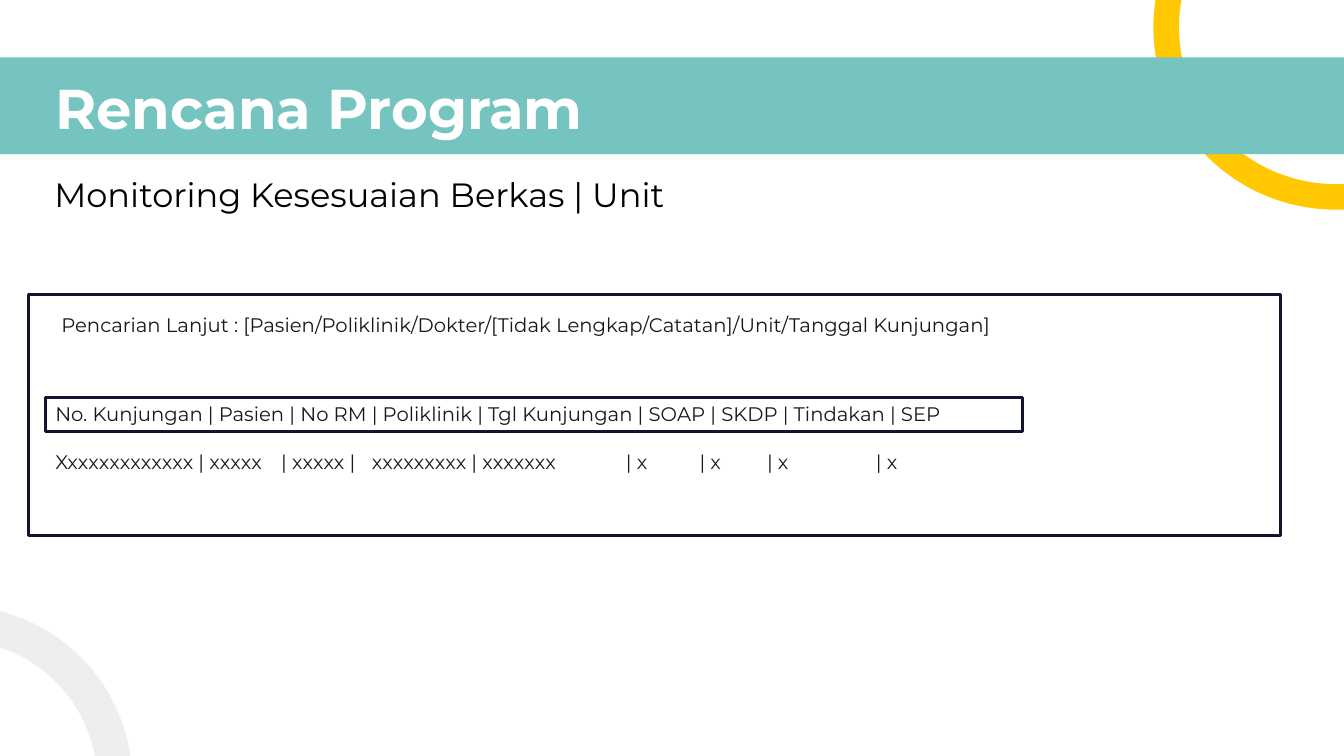
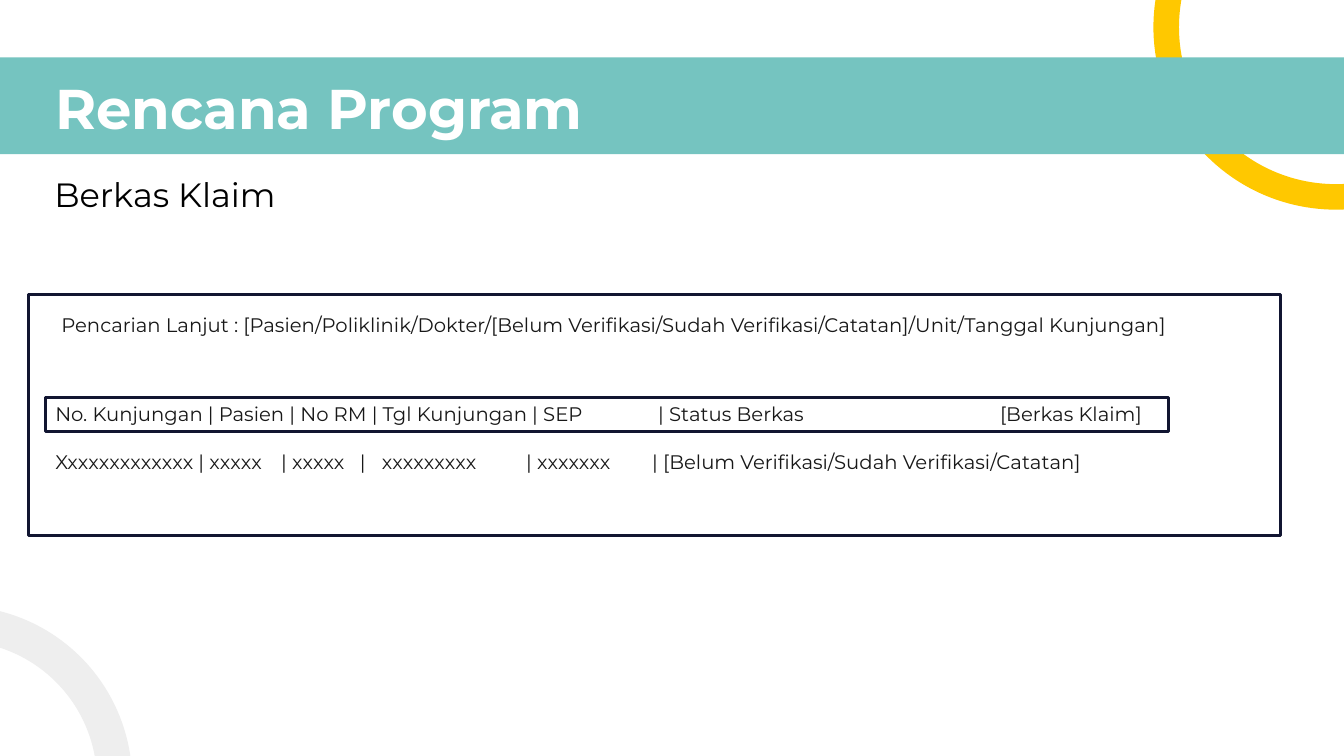
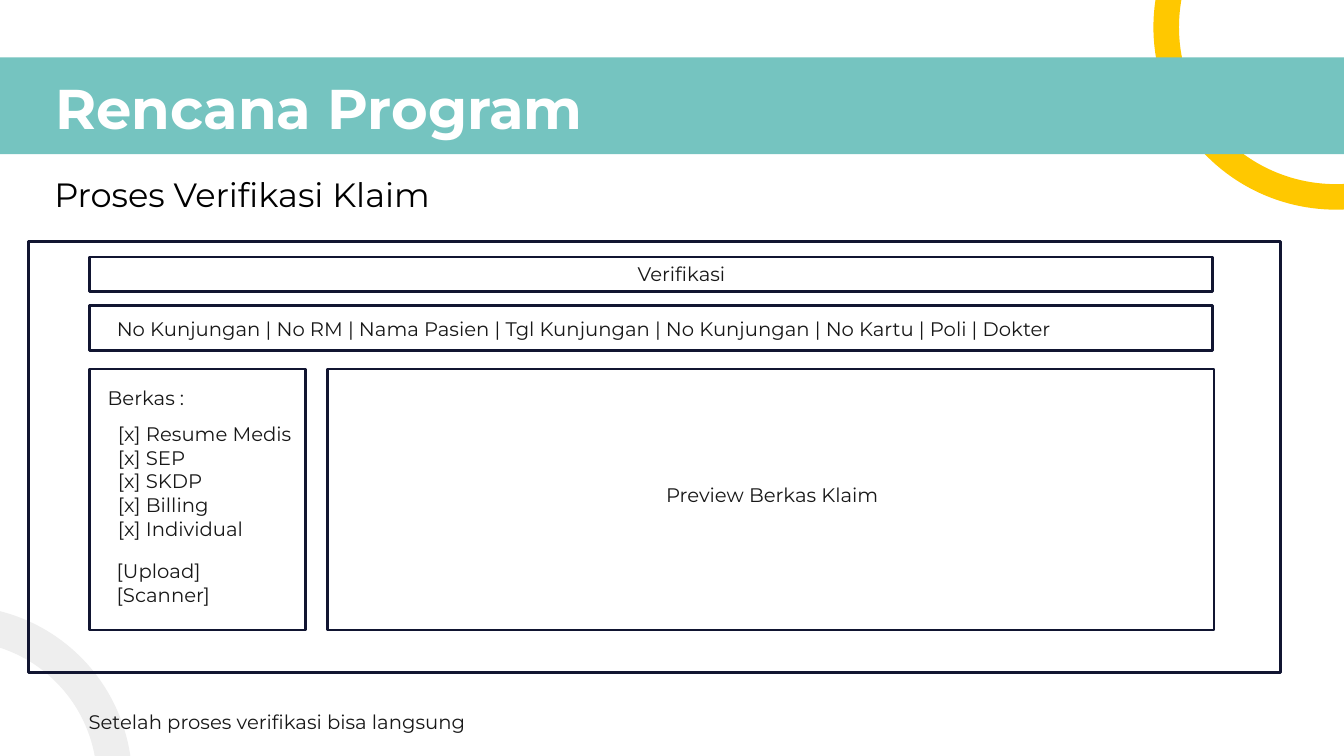
"""Build three slides that sketch the screens of a claim file program."""
from lxml.etree import SubElement
from pptx import Presentation
from pptx.dml.color import RGBColor
from pptx.enum.shapes import MSO_SHAPE as SHAPE
from pptx.enum.text import MSO_ANCHOR as ANCHOR, MSO_AUTO_SIZE as AUTO, PP_ALIGN as ALIGN
from pptx.oxml.ns import qn
from pptx.util import Inches, Pt

WHITE = RGBColor(0xFF, 0xFF, 0xFF)
BLACK = RGBColor(0x00, 0x00, 0x00)
INK = RGBColor(0x18, 0x18, 0x18)
NAVY = RGBColor(0x11, 0x15, 0x31)
TEAL = RGBColor(0x75, 0xC4, 0xC0)
YELLOW = RGBColor(0xFF, 0xC8, 0x00)
GREY = RGBColor(0xEE, 0xEE, 0xEE)

TITLE = {"name": "Montserrat", "size": Pt(40), "bold": True}
SUBTITLE = {"name": "Montserrat", "size": Pt(24)}
BODY = {"name": "Montserrat", "size": Pt(14)}


def add_box(s, at, fill=None, line=None, kind=SHAPE.RECTANGLE):
    sp = s.shapes.add_shape(kind, *map(Inches, at))
    sp.shadow.inherit = False
    if fill is None:
        sp.fill.background()
    else:
        sp.fill.solid()
        sp.fill.fore_color.rgb = fill
    if line is None:
        sp.line.fill.background()
    else:
        sp.line.color.rgb = line
        sp.line.width = Pt(2)
    return sp


def add_text(s, at, lines, align=ALIGN.LEFT, fmt=BODY, color=INK, tabs=(), gap=0):
    tf = s.shapes.add_textbox(*map(Inches, at)).text_frame
    tf.word_wrap = True
    tf.auto_size = AUTO.SHAPE_TO_FIT_TEXT
    for i, line in enumerate(lines):
        p = tf.paragraphs[0] if i == 0 else tf.add_paragraph()
        p.alignment = align
        if i and gap:
            p.space_before = Pt(gap)
        if tabs and tabs[i]:
            tab_list = SubElement(p._p.get_or_add_pPr(), qn("a:tabLst"))
            for pos in tabs[i]:
                SubElement(tab_list, qn("a:tab"), pos=str(Inches(pos)), algn="l")
        r = p.add_run()
        r.text = line
        r.font.color.rgb = color
        for key, value in fmt.items():
            setattr(r.font, key, value)


prs = Presentation()
prs.slide_width, prs.slide_height = Inches(13.33), Inches(7.5)
layout = prs.slide_layouts[5]

subtitles = ["Monitoring Kesesuaian Berkas | Unit", "Berkas Klaim", "Proses Verifikasi Klaim"]
slides = [prs.slides.add_slide(layout) for _ in subtitles]

yellow_ring = add_box(slides[0], (11.44, -1.54, 3.62, 3.62), YELLOW, kind=SHAPE.BLOCK_ARC)
band = add_box(slides[0], (-0.23, 0.57, 13.78, 0.96), TEAL)
grey_ring = add_box(slides[0], (-2.17, 6.01, 3.48, 3.48), GREY, kind=SHAPE.BLOCK_ARC)
for ring, angle, adjustments in [
    (yellow_ring, 180, (159.04, 7.23, 0.07)),
    (grey_ring, 74.3, (125.82, 166.85, 0.1)),
]:
    ring.rotation = angle
    for i, value in enumerate(adjustments):
        ring.adjustments[i] = value
for i, sp in enumerate((yellow_ring, band, grey_ring)):
    sp.element.nvSpPr.cNvPr.id = 20 + i
    layout.shapes.element.append(sp.element)

for s, subtitle in zip(slides, subtitles):
    title = s.shapes.title
    title.left, title.top, title.width, title.height = map(Inches, (0.45, 0.63, 11.28, 0.84))
    tf = title.text_frame
    tf.auto_size = AUTO.NONE
    tf.word_wrap = True
    tf.vertical_anchor = ANCHOR.TOP
    for side in ("left", "top", "right", "bottom"):
        setattr(tf, f"margin_{side}", Inches(0.1))
    p = tf.paragraphs[0]
    p.alignment = ALIGN.LEFT
    r = p.add_run()
    r.text = "Rencana Program"
    r.font.color.rgb = WHITE
    for key, value in TITLE.items():
        setattr(r.font, key, value)
    add_text(s, (0.44, 1.68, 11.71, 0.5), [subtitle], ALIGN.JUSTIFY, SUBTITLE, BLACK)

listings = [
    {
        "header_width": 9.69,
        "text_width": 10.86,
        "filters": "Tidak Lengkap/Catatan",
        "rows": [
            "No. Kunjungan | Pasien | No RM | Poliklinik | Tgl Kunjungan | SOAP | SKDP | Tindakan | SEP",
            "Xxxxxxxxxxxxx | xxxxx\t| xxxxx |\txxxxxxxxx | xxxxxxx\t| x\t| x\t| x\t| x",
        ],
        "tabs": [(), (2.24, 3.14, 5.66, 6.39, 7.06, 8.14)],
    },
    {
        "header_width": 11.14,
        "text_width": 11.87,
        "filters": "Belum Verifikasi/Sudah Verifikasi/Catatan",
        "rows": [
            "No. Kunjungan | Pasien | No RM | Tgl Kunjungan | SEP\t| Status Berkas\t[Berkas Klaim]",
            "Xxxxxxxxxxxxx | xxxxx\t| xxxxx\t|\txxxxxxxxx\t| xxxxxxx\t"
            "| [Belum Verifikasi/Sudah Verifikasi/Catatan]",
        ],
        "tabs": [(5.98, 9.37), (2.24, 3.02, 3.24, 4.67, 5.92)],
    },
]
for s, listing in zip(slides, listings):
    add_box(s, (0.28, 2.92, 12.42, 2.39), line=NAVY)
    add_box(s, (0.45, 3.94, listing["header_width"], 0.34), WHITE, NAVY)
    add_text(s, (0.45, 3.94, listing["text_width"], 0.81), listing["rows"],
             ALIGN.JUSTIFY, tabs=listing["tabs"], gap=17)
    search = f"Pencarian Lanjut : [Pasien/Poliklinik/Dokter/[{listing['filters']}]/Unit/Tanggal Kunjungan]"
    add_text(s, (0.51, 3.06, 11.8, 0.34), [search], ALIGN.JUSTIFY)

s = slides[2]
add_box(s, (0.28, 2.4, 12.42, 4.27), line=NAVY)
for panel in [
    (0.89, 2.55, 11.14, 0.34),
    (0.89, 3.03, 11.14, 0.45),
    (0.89, 3.66, 2.14, 2.59),
    (3.25, 3.66, 8.79, 2.59),
]:
    add_box(s, panel, WHITE, NAVY)

files = ["Resume Medis", "SEP", "SKDP", "Billing", "Individual"]
visit = "No Kunjungan | No RM | Nama Pasien | Tgl Kunjungan | No Kunjungan | No Kartu | Poli | Dokter"
for at, lines, align in [
    ((2.53, 2.55, 8.46, 0.34), ["Verifikasi"], ALIGN.CENTER),
    ((1.06, 3.09, 10.82, 0.34), [visit], ALIGN.LEFT),
    ((3.43, 4.74, 8.46, 0.34), ["Preview Berkas Klaim"], ALIGN.CENTER),
    ((0.97, 3.78, 1.63, 0.34), ["Berkas :"], ALIGN.LEFT),
    ((1.07, 4.14, 1.96, 1.28), [f"[x] {name}" for name in files], ALIGN.LEFT),
    ((1.06, 5.5, 1.63, 0.57), ["[Upload]", "[Scanner]"], ALIGN.LEFT),
    ((0.78, 6.99, 10.82, 0.34), ["Setelah proses verifikasi bisa langsung"], ALIGN.LEFT),
]:
    add_text(s, at, lines, align)

prs.save("out.pptx")
